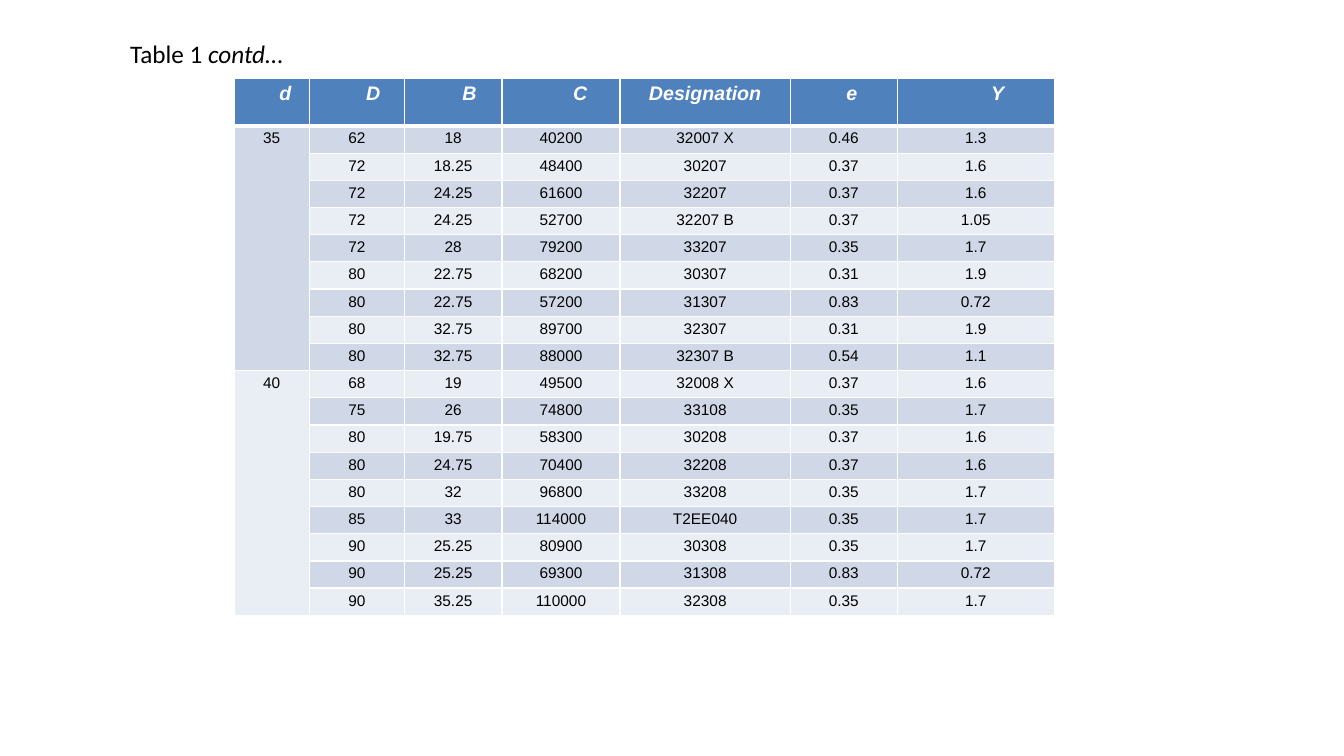
from pptx import Presentation
from pptx import util as u
from pptx.dml.color import RGBColor
from pptx.enum import text
from pptx.oxml import parse_xml
from pptx.oxml.ns import nsdecls

TITLE = [("Table 1 ", False), ("contd", True), ("…", False)]
# Heading, column width, indent in word spaces
COLUMNS = [
    ("d", 0.75, 5), ("D", 0.94, 6), ("B", 0.97, 6), ("C", 1.17, 7),
    ("Designation", 1.69, 0), ("e", 1.06, 3), ("Y", 1.56, 8),
]
BEARINGS = {
    "35": [
        ("62", "18", "40200", "32007 X", "0.46", "1.3"),
        ("72", "18.25", "48400", "30207", "0.37", "1.6"),
        ("72", "24.25", "61600", "32207", "0.37", "1.6"),
        ("72", "24.25", "52700", "32207 B", "0.37", "1.05"),
        ("72", "28", "79200", "33207", "0.35", "1.7"),
        ("80", "22.75", "68200", "30307", "0.31", "1.9"),
        ("80", "22.75", "57200", "31307", "0.83", "0.72"),
        ("80", "32.75", "89700", "32307", "0.31", "1.9"),
        ("80", "32.75", "88000", "32307 B", "0.54", "1.1"),
    ],
    "40": [
        ("68", "19", "49500", "32008 X", "0.37", "1.6"),
        ("75", "26", "74800", "33108", "0.35", "1.7"),
        ("80", "19.75", "58300", "30208", "0.37", "1.6"),
        ("80", "24.75", "70400", "32208", "0.37", "1.6"),
        ("80", "32", "96800", "33208", "0.35", "1.7"),
        ("85", "33", "114000", "T2EE040", "0.35", "1.7"),
        ("90", "25.25", "80900", "30308", "0.35", "1.7"),
        ("90", "25.25", "69300", "31308", "0.83", "0.72"),
        ("90", "35.25", "110000", "32308", "0.35", "1.7"),
    ],
}
COLORS = {"header": "4F81BD", "odd": "D0D8E8", "even": "E9EDF4",
          "line": "FFFFFF", "header_text": "FFFFFF", "text": "000000"}
LEFT, TOP = 2.32, 0.78
HEADER_H, ROW_H = 0.47, 0.27
MARGIN, SPACE_W = 0.04, 0.054


def rgb(name):
    return RGBColor.from_string(COLORS[name])


def add_borders(cell, bottom=1):
    tc_pr = cell._tc.get_or_add_tcPr()
    for i, (side, width) in enumerate([("L", 1), ("R", 1), ("T", 1), ("B", bottom)]):
        tc_pr.insert(i, parse_xml(
            f'<a:ln{side} {nsdecls("a")} w="{u.Pt(width)}"><a:solidFill>'
            f'<a:srgbClr val="{COLORS["line"]}"/></a:solidFill></a:ln{side}>'))


def format_cell(cell, value, fill, header=False):
    cell.text = value
    cell.margin_top = cell.margin_bottom = u.Inches(MARGIN)
    cell.fill.solid()
    cell.fill.fore_color.rgb = rgb(fill)
    add_borders(cell, 3 if header else 1)
    p = cell.text_frame.paragraphs[0]
    p.alignment = text.PP_ALIGN.CENTER
    font = p.font if not p.runs else p.runs[0].font
    font.name, font.size = "Arial", u.Pt(14 if header else 11)
    font.bold = font.italic = header
    font.color.rgb = rgb("header_text" if header else "text")


def add_title(s):
    title = s.shapes.title
    title.left, title.top, title.width, title.height = map(
        u.Inches, (1.19, 0.33, 3.77, 0.4))
    tf = title.text_frame
    tf.word_wrap = True
    tf.auto_size = text.MSO_AUTO_SIZE.SHAPE_TO_FIT_TEXT
    tf.vertical_anchor = text.MSO_ANCHOR.TOP
    p = tf.paragraphs[0]
    p.alignment = text.PP_ALIGN.LEFT
    for words, italic in TITLE:
        r = p.add_run()
        r.text = words
        r.font.name, r.font.size, r.font.italic = "Calibri", u.Pt(18), italic
        r.font.color.rgb = rgb("text")


def add_bearing_table(s):
    rows = [(d if i == 0 else "", *values)
            for d, group in BEARINGS.items() for i, values in enumerate(group)]
    width = sum(w for _, w, _ in COLUMNS)
    height = HEADER_H + ROW_H * len(rows)
    table = s.shapes.add_table(
        len(rows) + 1, len(COLUMNS),
        *map(u.Inches, (LEFT, TOP, width, height))).table
    table.horz_banding = False

    table.rows[0].height = u.Inches(HEADER_H)
    for c, (heading, col_w, indent) in enumerate(COLUMNS):
        table.columns[c].width = u.Inches(col_w)
        cell = table.cell(0, c)
        format_cell(cell, heading, "header", header=True)
        cell.margin_left = u.Inches(0.1 + indent * SPACE_W)

    for r, values in enumerate(rows, 1):
        table.rows[r].height = u.Inches(ROW_H)
        for c, value in enumerate(values):
            format_cell(table.cell(r, c), value, "odd" if r % 2 else "even")

    first = 1
    for group in BEARINGS.values():
        last = first + len(group) - 1
        table.cell(first, 0).merge(table.cell(last, 0))
        first = last + 1


def main():
    prs = Presentation()
    prs.slide_width, prs.slide_height = u.Inches(13.33), u.Inches(7.5)
    s = prs.slides.add_slide(prs.slide_layouts[5])
    add_bearing_table(s)
    add_title(s)
    prs.save("out.pptx")


if __name__ == "__main__":
    main()
